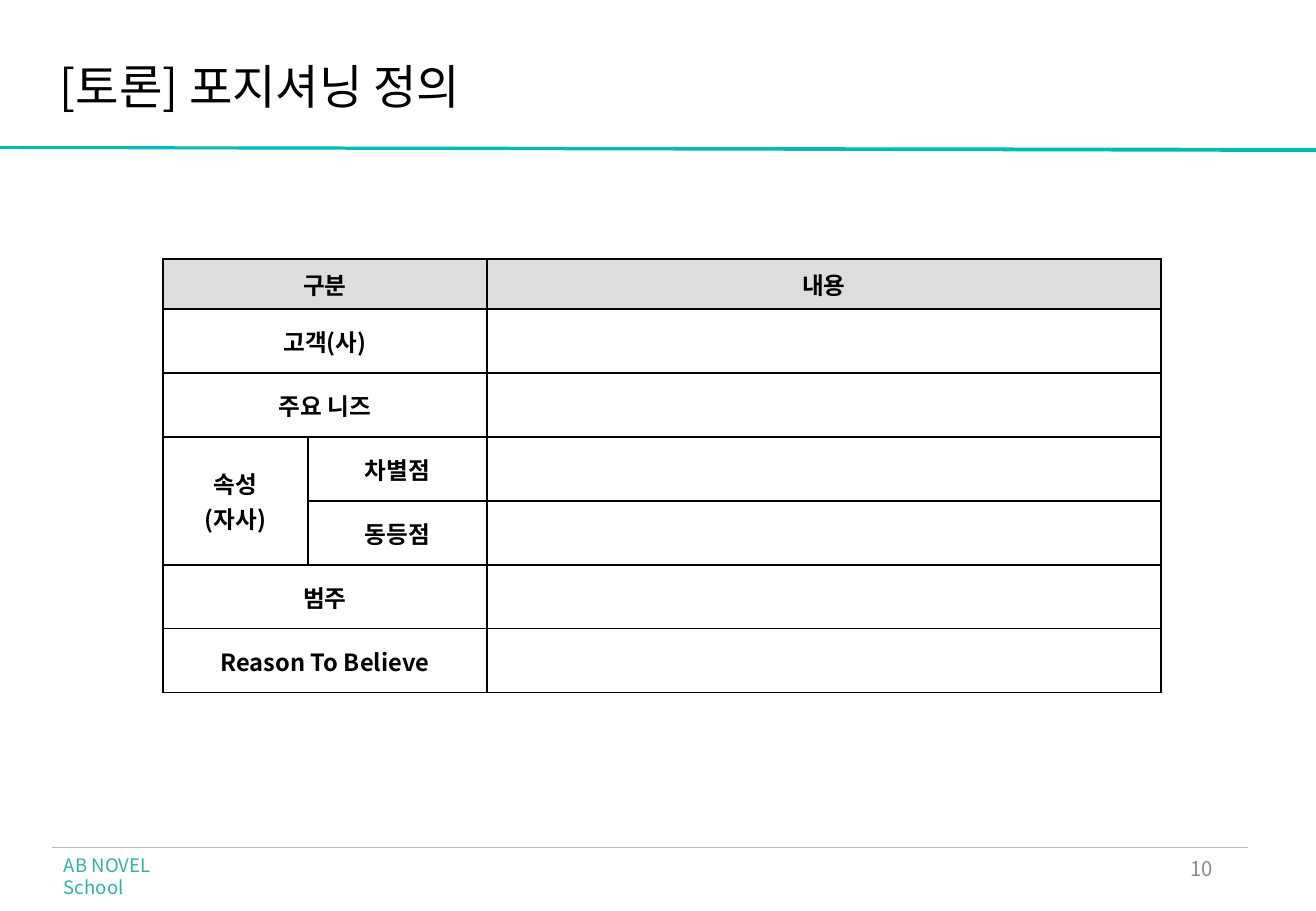
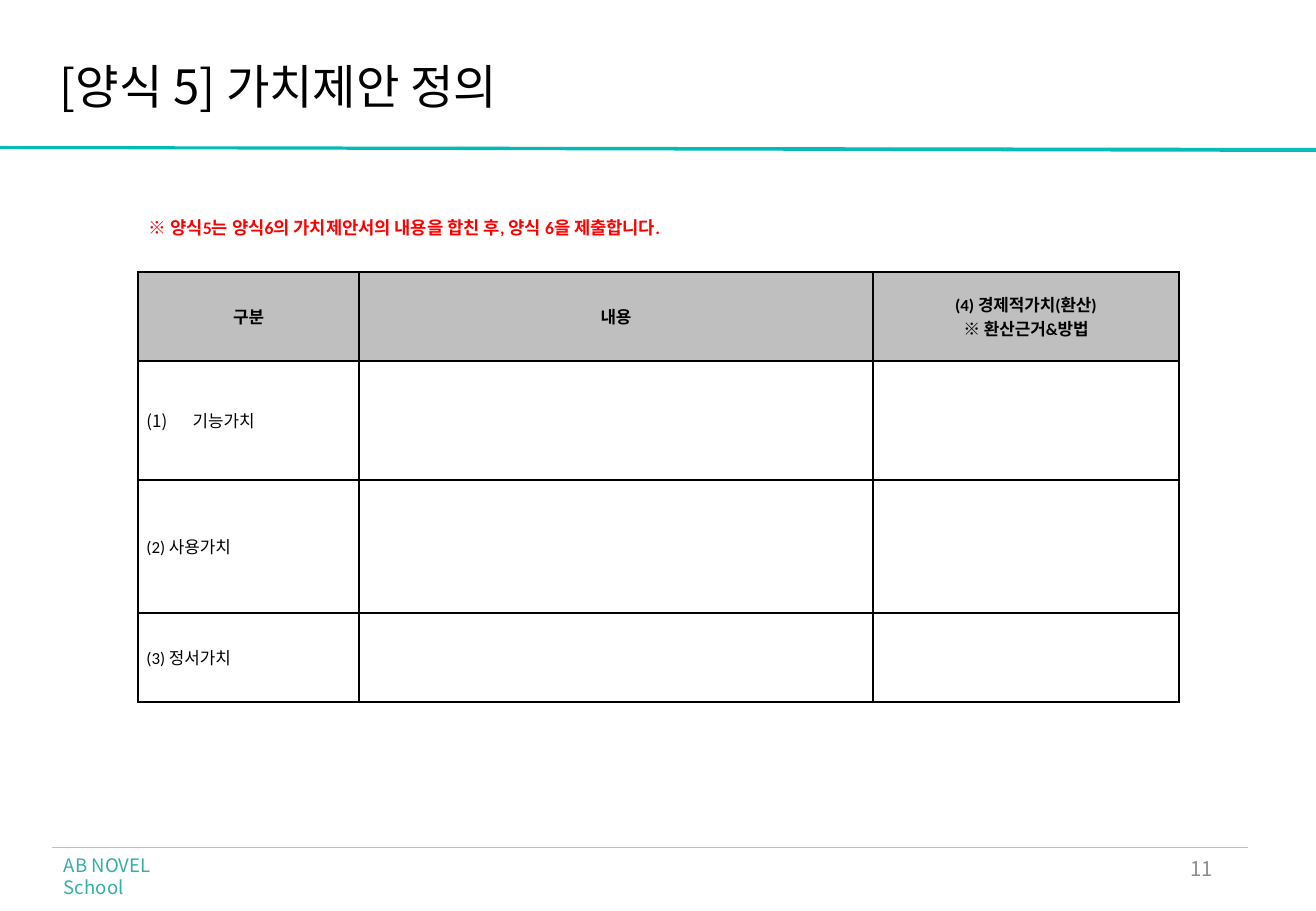
from lxml.etree import SubElement
from pptx import Presentation
from pptx.dml.color import RGBColor
from pptx.enum.shapes import MSO_CONNECTOR
from pptx.enum.text import MSO_ANCHOR, MSO_AUTO_SIZE, PP_ALIGN
from pptx.oxml.ns import qn
from pptx.util import Emu, Inches, Pt

PX = 7526  # EMU per pixel
WIDTH, HEIGHT = 1316, 911
BLACK = RGBColor(0x00, 0x00, 0x00)
RED = RGBColor(0xFF, 0x00, 0x00)
TEAL = RGBColor(0x01, 0xBC, 0xB6)
FOOTER_TEAL = RGBColor(0x34, 0xAE, 0xAA)
NUMBER_GRAY = RGBColor(0x8C, 0x8C, 0x8C)
RULE_GRAY = RGBColor(0xBE, 0xBE, 0xBE)
LIGHT_GRAY = RGBColor(0xDD, 0xDD, 0xDD)
MID_GRAY = RGBColor(0xBF, 0xBF, 0xBF)
NOTO, CALIBRI = "Noto Sans CJK KR", "Calibri"
LEFT, CENTER, RIGHT = PP_ALIGN.LEFT, PP_ALIGN.CENTER, PP_ALIGN.RIGHT


def set_text(frame, text, size, color=BLACK, font=NOTO, bold=False, align=LEFT):
    """Fill a text frame; Hangul always uses the Korean font."""
    frame.text = text
    for para in frame.paragraphs:
        para.alignment = align
        for span in para.runs:
            span.font.size = Pt(size)
            span.font.bold = bold
            span.font.color.rgb = color
            span.font.name = font
            SubElement(span.font._element, qn("a:ea"), typeface=NOTO)


def add_label(slide, place, text, size, color, **style):
    box = slide.shapes.add_textbox(*[Emu(length * PX) for length in place])
    box.text_frame.word_wrap = True
    set_text(box.text_frame, text, size, color, **style)
    return box


positioning = {
    "title": "[토론] 포지셔닝 정의",
    "corner": (163, 259),
    "columns": [145, 179, 674],
    "rows": [50] + [64] * 6,
    "header_fill": LIGHT_GRAY,
    "header": {"size": 14, "font": NOTO, "bold": True, "align": CENTER},
    "body": {"size": 14, "font": NOTO, "bold": True, "align": CENTER},
    "merges": [((row, 0), (row, 1)) for row in (0, 1, 2, 5, 6)] + [((3, 0), (4, 0))],
    "cells": [
        ["구분", "", "내용"],
        ["고객(사)", "", ""],
        ["주요 니즈", "", ""],
        ["속성\n(자사)", "차별점", ""],
        ["", "동등점", ""],
        ["범주", "", ""],
        ["Reason To Believe", "", ""],
    ],
}
value_proposal = {
    "title": "[양식 5] 가치제안 정의",
    "corner": (138, 272),
    "columns": [221, 514, 306],
    "rows": [89, 119, 133, 89],
    "header_fill": MID_GRAY,
    "header": {"size": 10, "font": CALIBRI, "bold": True, "align": CENTER},
    "body": {"size": 10, "font": CALIBRI},
    "merges": [],
    "cells": [
        ["구분", "내용", "(4) 경제적가치(환산)\n※ 환산근거&방법"],
        ["기능가치", "", ""],
        ["(2) 사용가치", "", ""],
        ["(3) 정서가치", "", ""],
    ],
}

deck = Presentation()
deck.slide_width, deck.slide_height = Emu(WIDTH * PX), Emu(HEIGHT * PX)
tables = []

for number, page in enumerate([positioning, value_proposal], start=10):
    slide = deck.slides.add_slide(deck.slide_layouts[5])

    # Band, footer rule, page number and footer
    outline = slide.shapes.build_freeform(0, 147, scale=PX)
    outline.add_line_segments([(0, 149), (WIDTH, 152), (WIDTH, 150)])
    outline.move_to(0, 146)
    outline.add_line_segments([(0, 147), (WIDTH, 150), (WIDTH, 148)])
    band = outline.convert_to_shape()
    band.shadow.inherit = False
    band.fill.solid()
    band.fill.fore_color.rgb = TEAL
    band.line.fill.background()

    rule = slide.shapes.add_connector(
        MSO_CONNECTOR.STRAIGHT, 52 * PX, 847 * PX, 1248 * PX, 847 * PX)
    rule.line.color.rgb = RULE_GRAY
    rule.line.width = Pt(0.5)
    SubElement(rule._element.spPr, qn("a:effectLst"))

    number_box = add_label(slide, (929, 844, 296, 49), str(number), 12, NUMBER_GRAY, align=RIGHT)
    number_box.text_frame.vertical_anchor = MSO_ANCHOR.MIDDLE
    add_label(slide, (52, 848, 170, 35), "AB NOVEL School", 11, FOOTER_TEAL)

    # Title
    title = slide.shapes.title
    title.left, title.top, title.width, title.height = [
        Emu(length * PX) for length in (60, 64, 1188, 51)]
    frame = title.text_frame
    frame.margin_left = frame.margin_top = frame.margin_right = frame.margin_bottom = 0
    frame.vertical_anchor = MSO_ANCHOR.MIDDLE
    frame.auto_size = MSO_AUTO_SIZE.NONE
    set_text(frame, page["title"], 28)
    frame.paragraphs[0].line_spacing = 0.9

    # Table
    place = (*page["corner"], sum(page["columns"]), sum(page["rows"]))
    table = slide.shapes.add_table(
        len(page["rows"]), len(page["columns"]), *[Emu(length * PX) for length in place]).table
    table.first_row = table.horz_banding = False
    for column, width in zip(table.columns, page["columns"]):
        column.width = Emu(width * PX)
    for row, height in zip(table.rows, page["rows"]):
        row.height = Emu(height * PX)
    for row_index, texts in enumerate(page["cells"]):
        for column_index, text in enumerate(texts):
            cell = table.cell(row_index, column_index)
            cell.vertical_anchor = MSO_ANCHOR.MIDDLE
            cell.margin_left = cell.margin_right = Inches(0.07)
            cell.margin_top = cell.margin_bottom = Inches(0.04)
            for side in ("lnL", "lnR", "lnT", "lnB"):
                border = SubElement(cell._tc.tcPr, qn(f"a:{side}"), w=str(Pt(1)))
                paint = SubElement(border, qn("a:solidFill"))
                SubElement(paint, qn("a:srgbClr"), val=str(BLACK))
            if row_index == 0:
                cell.fill.solid()
                cell.fill.fore_color.rgb = page["header_fill"]
            else:
                cell.fill.background()
            if text:
                set_text(cell.text_frame, text, **page["body" if row_index else "header"])
    for first, last in page["merges"]:
        table.cell(*first).merge(table.cell(*last))
    tables.append(table)

# Numbered first value and the note above the second table
properties = tables[1].cell(1, 0).text_frame.paragraphs[0]._p.get_or_add_pPr()
properties.set("marL", str(Inches(0.38)))
properties.set("indent", str(-Inches(0.38)))
SubElement(properties, qn("a:buAutoNum"), type="arabicParenBoth")
add_label(slide, (137, 211, 994, 34),
          "※ 양식5는 양식6의 가치제안서의 내용을 합친 후, 양식 6을 제출합니다.",
          10.5, RED, font=CALIBRI, bold=True)

deck.save("out.pptx")
